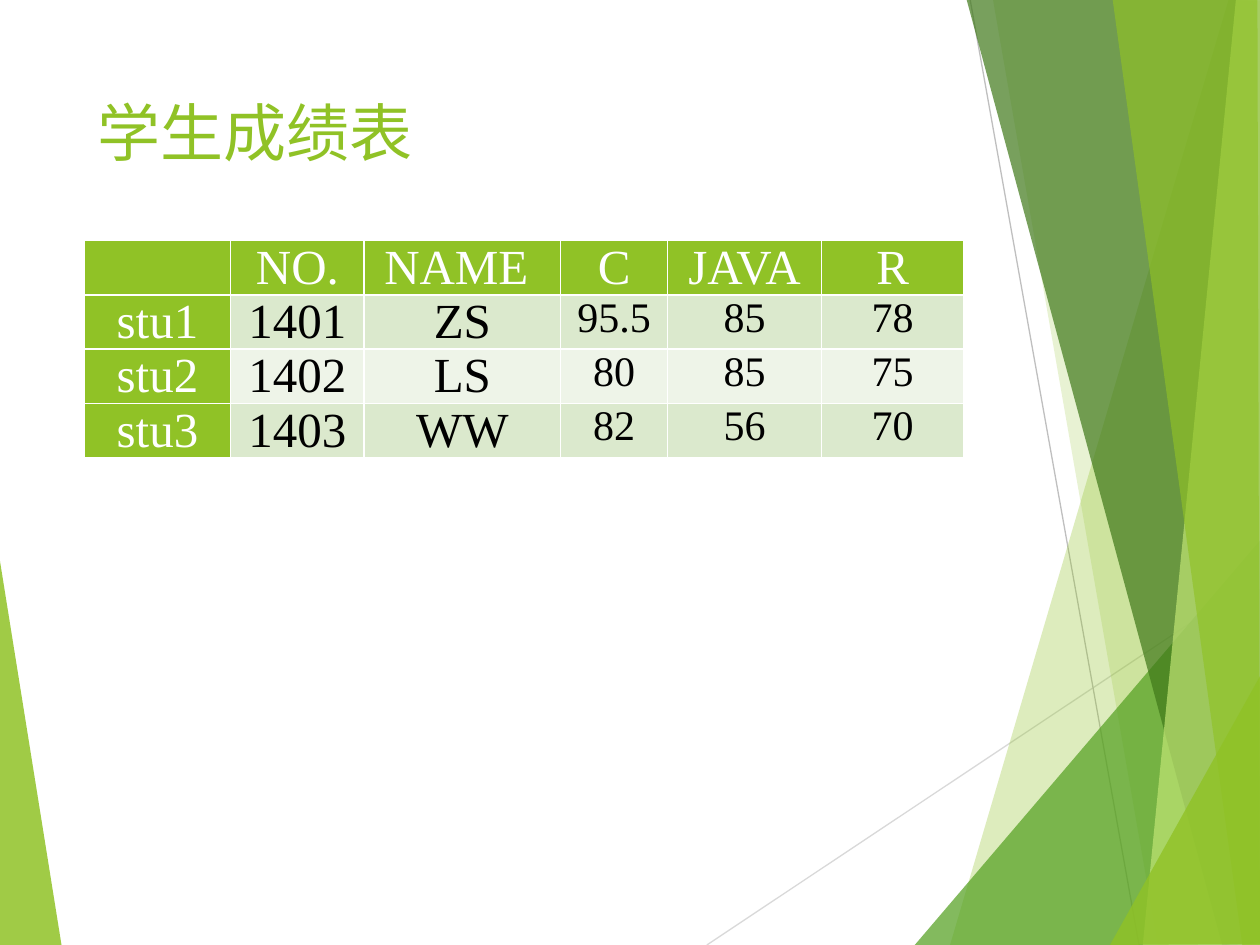
from dataclasses import dataclass

from lxml.etree import SubElement
from pptx import Presentation
from pptx.dml.color import RGBColor
from pptx.enum.text import MSO_ANCHOR, PP_ALIGN
from pptx.oxml.ns import qn
from pptx.util import Inches, Pt

FONT = "Times New Roman"
GREEN, WHITE, BLACK = "90C226", "FFFFFF", "000000"
BANDS = ("DBE9CD", "EEF4E8")

Point = tuple[float, float]


@dataclass
class Facet:
    points: list[Point]
    color: str
    opacity: int


@dataclass
class ThinLine:
    start: Point
    end: Point
    color: str


# Decoration, from back to front
DECORATION = [
    Facet([(-0.01, 4.39), (0.49, 7.51), (-0.01, 7.5)], GREEN, 85),
    ThinLine((5.61, 7.5), (10.01, 4.57), "D9D9D9"),
    ThinLine((7.7, 0), (9.04, 7.5), "BFBFBF"),
    Facet([(9.75, 0), (7.54, 7.5), (10.02, 7.51), (10.01, 0.01)], GREEN, 30),
    Facet([(7.88, -0.01), (9.19, 7.5), (10.01, 7.5), (10.01, -0.01)], GREEN, 20),
    Facet([(7.26, 7.5), (10, 4.29), (10.01, 7.5)], "54A021", 72),
    Facet([(7.67, -0.01), (9.7, 7.5), (10.01, 7.49), (10.01, -0.01)], "3F7819", 70),
    Facet([(9.81, -0.01), (9.07, 7.5), (10.01, 7.5), (10, -0.01)], "C0E474", 70),
    Facet([(8.83, -0.01), (9.86, 7.5), (10, 7.5), (9.98, -0.01)], GREEN, 65),
    Facet([(8.81, 7.5), (10.01, 5.35), (10.01, 7.49)], GREEN, 80),
]

COLUMN_WIDTHS = [1.16, 1.06, 1.56, 0.85, 1.22, 1.13]
ROW_HEIGHT = 0.43
SCORES = [
    ["", "NO.", "NAME ", "C", "JAVA", "R"],
    ["stu1", "1401", "ZS", "95.5", "85", "78"],
    ["stu2", "1402", "LS", "80", "85", "75"],
    ["stu3", "1403", "WW", "82", "56", "70"],
]


def rgb(color: str) -> RGBColor:
    return RGBColor.from_string(color)


def apply_format(target, values: dict) -> None:
    for name, value in values.items():
        setattr(target, name, value)


def format_font(font, size: int, color: str) -> None:
    apply_format(font, {"name": FONT, "size": Pt(size), "bold": False})
    font.color.rgb = rgb(color)


def draw_facet(slide, facet: Facet) -> None:
    points = [(Inches(x), Inches(y)) for x, y in facet.points]
    builder = slide.shapes.build_freeform(*points[0])
    builder.add_line_segments(points[1:], close=True)
    shape = builder.convert_to_shape()
    shape.shadow.inherit = False
    shape.fill.solid()
    shape.fill.fore_color.rgb = rgb(facet.color)
    shape.line.fill.background()
    color = shape.fill._xPr.find(f"{qn('a:solidFill')}/{qn('a:srgbClr')}")
    SubElement(color, qn("a:alpha"), val=str(facet.opacity * 1000))


def draw_line(slide, line: ThinLine) -> None:
    ends = [Inches(value) for value in (*line.start, *line.end)]
    connector = slide.shapes.add_connector(1, *ends)
    connector.line.color.rgb = rgb(line.color)
    connector.line.width = Pt(0.75)
    SubElement(connector._element.spPr, qn("a:effectLst"))


def add_borders(cell) -> None:
    properties = cell._tc.get_or_add_tcPr()
    for index, side in enumerate(("lnL", "lnR", "lnT", "lnB")):
        border = SubElement(properties, qn(f"a:{side}"), w=str(Pt(1)))
        fill = SubElement(border, qn("a:solidFill"))
        SubElement(fill, qn("a:srgbClr"), val=WHITE)
        properties.insert(index, border)


def fill_cell(cell, text: str, row: int, column: int) -> None:
    heading = row == 0 or column == 0
    apply_format(cell, {
        "margin_left": Inches(0.09), "margin_right": Inches(0.09),
        "margin_top": 0, "margin_bottom": 0,
        "vertical_anchor": MSO_ANCHOR.TOP,
    })
    cell.fill.solid()
    cell.fill.fore_color.rgb = rgb(GREEN if heading else BANDS[(row - 1) % 2])
    add_borders(cell)
    if text:
        paragraph = cell.text_frame.paragraphs[0]
        paragraph.alignment = PP_ALIGN.CENTER
        run = paragraph.add_run()
        run.text = text
        size = 24 if row > 0 and column > 2 else 28
        format_font(run.font, size, WHITE if heading else BLACK)


def draw_scores(slide) -> None:
    frame = slide.shapes.add_table(
        len(SCORES), len(COLUMN_WIDTHS), Inches(0.67), Inches(1.91),
        Inches(sum(COLUMN_WIDTHS)), Inches(ROW_HEIGHT * len(SCORES)))
    table = frame.table
    for column, width in zip(table.columns, COLUMN_WIDTHS):
        column.width = Inches(width)
    for row, texts in enumerate(SCORES):
        table.rows[row].height = Inches(ROW_HEIGHT)
        for column, text in enumerate(texts):
            fill_cell(table.cell(row, column), text, row, column)


def draw_title(slide, text: str) -> None:
    title = slide.shapes.title
    apply_format(title, {
        "left": Inches(0.67), "top": Inches(0.67),
        "width": Inches(6.94), "height": Inches(0.74),
    })
    title.text_frame.vertical_anchor = MSO_ANCHOR.MIDDLE
    paragraph = title.text_frame.paragraphs[0]
    paragraph.alignment = PP_ALIGN.LEFT
    run = paragraph.add_run()
    run.text = text
    format_font(run.font, 36, GREEN)


def main() -> None:
    presentation = Presentation()
    presentation.slide_width = Inches(10)
    presentation.slide_height = Inches(7.5)
    slide = presentation.slides.add_slide(presentation.slide_layouts[5])
    slide.background.fill.solid()
    slide.background.fill.fore_color.rgb = rgb(WHITE)

    for part in DECORATION:
        if isinstance(part, Facet):
            draw_facet(slide, part)
        else:
            draw_line(slide, part)
    draw_title(slide, "学生成绩表")
    draw_scores(slide)
    presentation.save("out.pptx")


if __name__ == "__main__":
    main()
